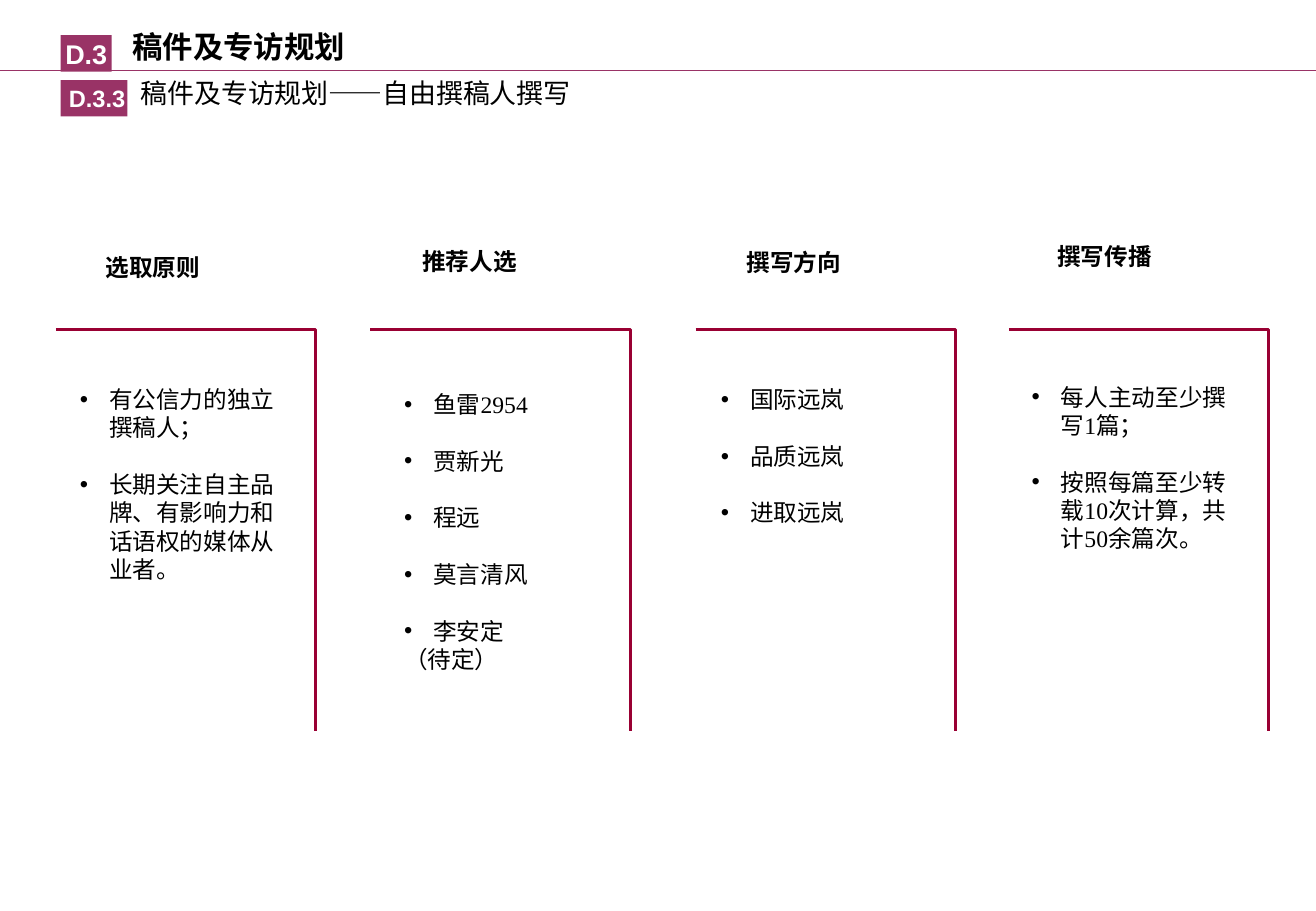
from dataclasses import dataclass

from pptx import Presentation
from pptx.dml.color import RGBColor
from pptx.enum.shapes import MSO_CONNECTOR, MSO_SHAPE
from pptx.enum.text import MSO_ANCHOR, MSO_AUTO_SIZE, PP_ALIGN
from pptx.oxml.ns import qn
from pptx.util import Inches, Pt
from lxml.etree import SubElement

CHINESE_FONT = "Noto Sans CJK SC"
SERIF_FONT = "Times New Roman"
BLACK = "000000"
WHITE = "FFFFFF"
PLUM = "993366"
CRIMSON = "990033"
BULLET_INDENT = 0.24
COLUMN_TOP = 2.71
COLUMN_WIDTH = 2.14
COLUMN_HEIGHT = 3.31


@dataclass
class Column:
    left: float
    heading: str
    heading_offset: tuple
    list_offset: tuple
    list_width: float
    items: list
    remark: str = ""


COLUMNS = [
    Column(0.46, "选取原则", (0.31, -0.68), (0.1, 0.41), 1.92,
           ["有公信力的独立撰稿人；", "长期关注自主品牌、有影响力和话语权的媒体从业者。"]),
    Column(3.05, "推荐人选", (0.33, -0.73), (0.18, 0.45), 1.39,
           ["鱼雷2954", "贾新光", "程远", "莫言清风", "李安定"], "（待定）"),
    Column(5.73, "撰写方向", (0.32, -0.72), (0.11, 0.41), 1.87,
           ["国际远岚", "品质远岚", "进取远岚"]),
    Column(8.31, "撰写传播", (0.3, -0.77), (0.09, 0.39), 1.97,
           ["每人主动至少撰写1篇；", "按照每篇至少转载10次计算，共计50余篇次。"]),
]


def color(value):
    return RGBColor.from_string(value)


def add_bullet(paragraph):
    properties = paragraph._p.get_or_add_pPr()
    properties.set("marL", str(Inches(BULLET_INDENT)))
    properties.set("indent", str(-Inches(BULLET_INDENT)))
    SubElement(properties, qn("a:buFont")).set("typeface", "Arial")
    SubElement(properties, qn("a:buChar")).set("char", "•")


def write_paragraph(paragraph, text, size=14, font=SERIF_FONT, ink=BLACK, bold=False,
                    align=PP_ALIGN.LEFT, bullet=False, space_before=0):
    if bullet:
        add_bullet(paragraph)
    paragraph.alignment = align
    if space_before:
        paragraph.space_before = Pt(space_before)
    run = paragraph.add_run()
    run.text = text
    run.font.size = Pt(size)
    run.font.name = font
    run.font.bold = bold
    run.font.color.rgb = color(ink)
    SubElement(run._r.get_or_add_rPr(), qn("a:ea")).set("typeface", CHINESE_FONT)


def add_text_box(slide, left, top, width, height, wrap=True):
    box = slide.shapes.add_textbox(Inches(left), Inches(top), Inches(width), Inches(height))
    box.text_frame.word_wrap = wrap
    return box.text_frame


def add_badge(slide, text, left, top, width, size, inset=0):
    badge = slide.shapes.add_shape(
        MSO_SHAPE.RECTANGLE, Inches(left), Inches(top), Inches(width), Inches(0.3))
    badge.shadow.inherit = False
    badge.fill.solid()
    badge.fill.fore_color.rgb = color(PLUM)
    badge.line.fill.background()
    frame = badge.text_frame
    frame.word_wrap = False
    frame.vertical_anchor = MSO_ANCHOR.MIDDLE
    frame.margin_left = Inches(inset)
    frame.margin_right = frame.margin_top = frame.margin_bottom = 0
    write_paragraph(frame.paragraphs[0], text, size=size, font="Arial", ink=WHITE,
                    bold=True, align=PP_ALIGN.CENTER)


def add_header(slide, left, top, width):
    rule_top = Inches(top + 0.29)
    rule = slide.shapes.add_connector(
        MSO_CONNECTOR.STRAIGHT, 0, rule_top, Inches(width), rule_top)
    rule.line.color.rgb = color(PLUM)
    rule.line.width = Pt(0.75)
    SubElement(rule._element.spPr, qn("a:effectLst"))

    add_badge(slide, "D.3", left, top, 0.42, 16)
    title = slide.shapes.title
    title.left, title.top = Inches(left + 0.49), Inches(top - 0.11)
    title.width, title.height = Inches(2.17), Inches(0.4)
    frame = title.text_frame
    frame.word_wrap = True
    frame.auto_size = MSO_AUTO_SIZE.NONE
    frame.vertical_anchor = MSO_ANCHOR.TOP
    write_paragraph(frame.paragraphs[0], "稿件及专访规划", size=18, font=CHINESE_FONT, bold=True)

    add_badge(slide, "D.3.3", left, top + 0.37, 0.55, 14, inset=0.05)
    subtitle = add_text_box(slide, left + 0.56, top + 0.29, 3.94, 0.37)
    write_paragraph(subtitle.paragraphs[0], "稿件及专访规划——自由撰稿人撰写",
                    size=16, font=CHINESE_FONT)


def add_corner(slide, left, top, width, height):
    right = Inches(left + width)
    builder = slide.shapes.build_freeform(Inches(left), Inches(top))
    builder.add_line_segments(
        [(right, Inches(top)), (right, Inches(top + height))], close=False)
    corner = builder.convert_to_shape()
    corner.shadow.inherit = False
    corner.fill.background()
    corner.line.color.rgb = color(CRIMSON)
    corner.line.width = Pt(1.75)


def add_column(slide, column, top, width, height):
    add_corner(slide, column.left, top, width, height)

    across, down = column.heading_offset
    heading = add_text_box(slide, column.left + across, top + down, 0.98, 0.34, wrap=False)
    write_paragraph(heading.paragraphs[0], column.heading, bold=True)

    across, down = column.list_offset
    frame = add_text_box(slide, column.left + across, top + down,
                         column.list_width, height - down)
    for index, item in enumerate(column.items):
        paragraph = frame.add_paragraph() if index else frame.paragraphs[0]
        write_paragraph(paragraph, item, bullet=True, space_before=16.8 if index else 0)
    if column.remark:
        write_paragraph(frame.add_paragraph(), column.remark)


def main():
    presentation = Presentation()
    presentation.slide_width = Inches(10.84)
    presentation.slide_height = Inches(7.5)
    slide = presentation.slides.add_slide(presentation.slide_layouts[5])
    add_header(slide, 0.5, 0.29, 10.84)
    for column in COLUMNS:
        add_column(slide, column, COLUMN_TOP, COLUMN_WIDTH, COLUMN_HEIGHT)
    presentation.save("out.pptx")


if __name__ == "__main__":
    main()
